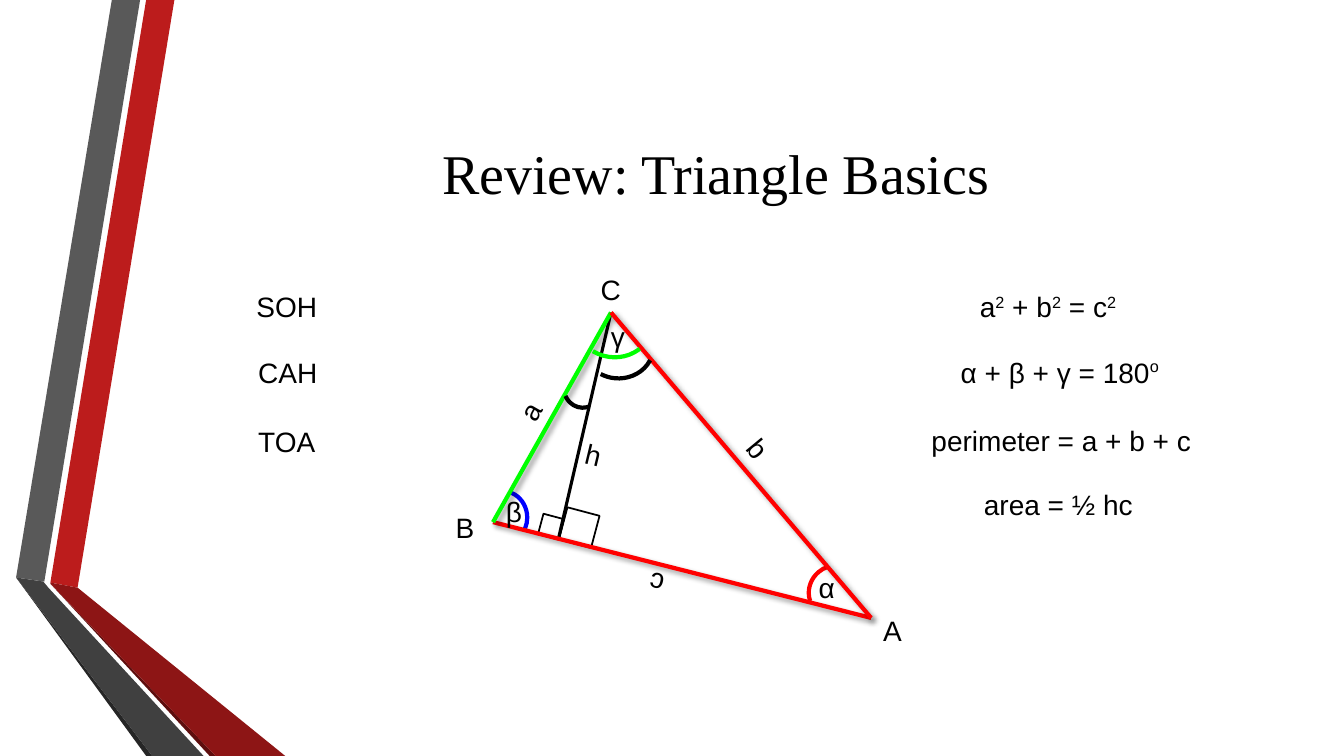
import pptx
import pptx.dml.color
import pptx.enum.shapes
import pptx.enum.text
import pptx.oxml
import pptx.oxml.ns
import pptx.util
from pptx.util import Inches

RGBColor = pptx.dml.color.RGBColor
BLACK = RGBColor(0x00, 0x00, 0x00)
WHITE = RGBColor(0xFF, 0xFF, 0xFF)
RED = RGBColor(0xFF, 0x00, 0x00)
GREEN = RGBColor(0x00, 0xFF, 0x00)
BLUE = RGBColor(0x00, 0x00, 0xFF)
BAND_RED = RGBColor(0xBC, 0x1C, 0x1C)
BAND_GRAY = RGBColor(0x59, 0x59, 0x59)
FOLD_RED = RGBColor(0x8D, 0x15, 0x15)
FOLD_GRAY = RGBColor(0x40, 0x40, 0x40)
EDGE_RED = RGBColor(0x5E, 0x0E, 0x0E)
EDGE_GRAY = RGBColor(0x26, 0x26, 0x26)

SHAPE = pptx.enum.shapes.MSO_SHAPE
ALIGN = pptx.enum.text.PP_ALIGN
ANCHOR = pptx.enum.text.MSO_ANCHOR

VERTEX_A, VERTEX_B, VERTEX_C = (8.64, 6.13), (4.89, 5.18), (6.06, 3.1)
ALTITUDE_FOOT = (5.54, 5.34)
LABEL_HEIGHT = 0.44

RIBBONS = [
    (BAND_RED, [(0.5, 5.78), (0.77, 5.83), (1.73, 0), (1.45, 0)]),
    (BAND_GRAY, [(1.39, 0), (1.11, 0), (0.16, 5.73), (0.44, 5.77)]),
    (EDGE_GRAY, [(0.16, 5.73), (1.45, 7.5), (1.51, 7.5)]),
    (EDGE_RED, [(0.5, 5.79), (2.08, 7.5), (2.14, 7.5)]),
    (FOLD_RED, [(0.5, 5.79), (2.14, 7.5), (2.83, 7.5), (0.77, 5.83), (0.5, 5.78)]),
    (FOLD_GRAY, [(2.02, 7.5), (0.48, 5.83), (0.43, 5.77), (0.16, 5.73), (1.51, 7.5)]),
]

# Text, left, top, width, rotation
TRIANGLE_LABELS = [
    ("A", 8.66, 6.04, 0.39, 0),
    ("B", 4.42, 5.02, 0.39, 0),
    ("C", 5.86, 2.65, 0.41, 0),
    ("α", 8.02, 5.61, 0.37, 0),
    ("β", 4.92, 4.86, 0.37, 0),
    ("γ", 5.96, 3.12, 0.34, 0),
    ("a", 5.08, 3.86, 0.36, 299.9),
    ("b", 7.34, 4.23, 0.36, 50.4),
    ("c", 6.34, 5.58, 0.34, 193.8),
    ("h", 5.71, 4.29, 0.36, 13.5),
]

# Runs with their raised baseline in percent, left, top, width
FORMULAS = [
    ([("a", 0), ("2", 30), (" + b", 0), ("2", 30), (" = c", 0), ("2", 30)],
     9.62, 2.82, 1.73),
    ([("α + β + γ = 180", 0), ("o", 40)], 9.43, 3.48, 2.19),
    ([("perimeter = a + b + c", 0)], 9.14, 4.15, 2.85),
    ([("area = ½ hc", 0)], 9.66, 4.79, 1.73),
]

MNEMONICS = [("SOH", 1.98, 2.82), ("CAH", 1.99, 3.48), ("TOA", 1.98, 4.16)]


def add_text(slide, runs, left, top, width, height=LABEL_HEIGHT, *, size=20,
             font="Arial", align=ALIGN.LEFT, anchor=ANCHOR.TOP, wrap=True, rotation=0):
    """Add a text box from a string or a list of (text, baseline percent)."""
    box = slide.shapes.add_textbox(Inches(left), Inches(top), Inches(width), Inches(height))
    box.rotation = rotation
    frame = box.text_frame
    frame.word_wrap = wrap
    frame.vertical_anchor = anchor
    paragraph = frame.paragraphs[0]
    paragraph.alignment = align
    for text, baseline in [(runs, 0)] if isinstance(runs, str) else runs:
        run = paragraph.add_run()
        run.text = text
        run.font.size = pptx.util.Pt(size)
        run.font.name = font
        run.font.color.rgb = BLACK
        if baseline:
            run.font._element.set("baseline", str(baseline * 1000))


def add_ribbon(slide, color, points):
    corners = [(Inches(x), Inches(y)) for x, y in points]
    builder = slide.shapes.build_freeform(*corners[0], scale=1.0)
    builder.add_line_segments(corners[1:], close=True)
    shape = builder.convert_to_shape()
    shape.shadow.inherit = False
    shape.fill.solid()
    shape.fill.fore_color.rgb = color
    shape.line.fill.background()


def add_outline(slide, kind, left, top, width, height, color, weight, rotation=0):
    shape = slide.shapes.add_shape(
        kind, Inches(left), Inches(top), Inches(width), Inches(height))
    shape.rotation = rotation
    shape.shadow.inherit = False
    shape.fill.background()
    shape.line.color.rgb = color
    shape.line.width = pptx.util.Pt(weight)
    return shape


def add_angle(slide, left, top, width, height, color, rotation=0, end=15.211):
    arc = add_outline(slide, SHAPE.ARC, left, top, width, height, color, 3, rotation)
    arc.adjustments[0] = 173.724
    arc.adjustments[1] = end


def add_side(slide, start, finish, color, weight=3, shadow=True):
    line = slide.shapes.add_connector(
        pptx.enum.shapes.MSO_CONNECTOR.STRAIGHT,
        *[Inches(value) for value in start + finish])
    line.line.color.rgb = color
    line.line.width = pptx.util.Pt(weight)
    outer = ('<a:outerShdw blurRad="50800" dist="38100" dir="2700000" algn="tl" '
             'rotWithShape="0"><a:srgbClr val="000000"><a:alpha val="40000"/>'
             '</a:srgbClr></a:outerShdw>') if shadow else ""
    line._element.spPr.append(pptx.oxml.parse_xml(
        f'<a:effectLst {pptx.oxml.ns.nsdecls("a")}>{outer}</a:effectLst>'))


def main():
    presentation = pptx.Presentation()
    presentation.slide_width = Inches(13.33)
    presentation.slide_height = Inches(7.5)
    slide = presentation.slides.add_slide(presentation.slide_layouts[6])
    slide.background.fill.solid()
    slide.background.fill.fore_color.rgb = WHITE

    # Folded ribbons on the left
    for color, points in RIBBONS:
        add_ribbon(slide, color, points)

    add_text(slide, "Review: Triangle Basics", 1.62, 0.75, 10.96, 1.92, size=40,
             font="Times New Roman", align=ALIGN.CENTER, anchor=ANCHOR.MIDDLE)

    # Base angles, right angles and altitude
    add_angle(slide, 4.73, 4.87, 0.5, 0.53, BLUE)
    add_angle(slide, 8.03, 5.6, 0.5, 0.53, RED, 229)
    for left, top, side in [(5.36, 5.12, 0.21), (5.58, 5.07, 0.33)]:
        add_outline(slide, SHAPE.RECTANGLE, left, top, side, side, BLACK, 1.25, 14.9)
    add_side(slide, VERTEX_C, ALTITUDE_FOOT, BLACK, 2.25, shadow=False)

    # Triangle sides
    add_side(slide, VERTEX_A, VERTEX_B, RED)
    add_side(slide, VERTEX_C, VERTEX_B, GREEN)
    add_side(slide, VERTEX_A, VERTEX_C, RED)

    # Angles at the top vertex
    add_angle(slide, 5.6, 3.69, 0.34, 0.36, BLACK, 134.8)
    add_angle(slide, 5.8, 3.07, 0.66, 0.71, BLACK, 95.6)
    add_angle(slide, 5.69, 2.74, 0.78, 0.82, GREEN, 120.1, end=0.47)

    # Labels, formulas and mnemonics
    for text, left, top, width, rotation in TRIANGLE_LABELS:
        add_text(slide, text, left, top, width, wrap=False, rotation=rotation)
    for runs, left, top, width in FORMULAS:
        add_text(slide, runs, left, top, width, wrap=True)
    for text, left, top in MNEMONICS:
        add_text(slide, text, left, top, 1.73, align=ALIGN.CENTER)

    presentation.save("out.pptx")


if __name__ == "__main__":
    main()
